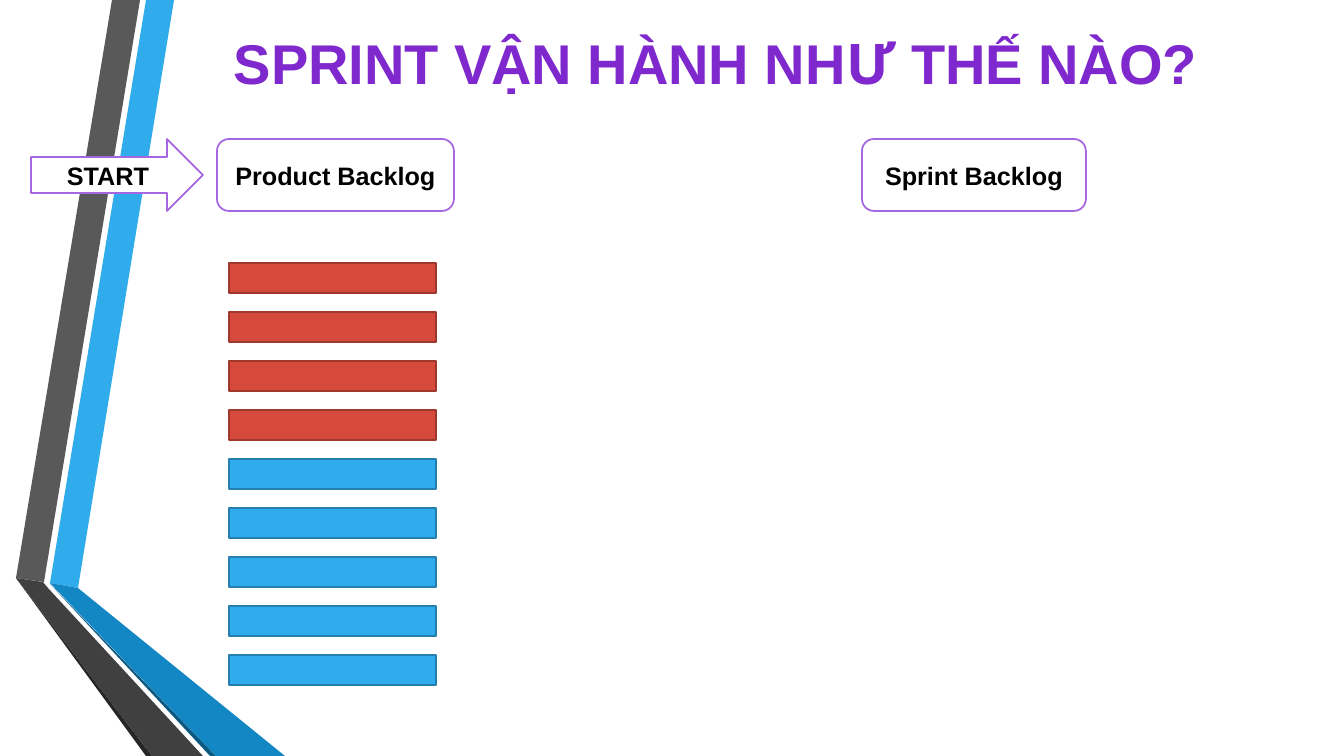
from dataclasses import dataclass
from pptx import Presentation
from pptx.dml.color import RGBColor
from pptx.enum.shapes import MSO_SHAPE as Kind
from pptx.enum.text import MSO_ANCHOR as Anchor, PP_ALIGN as Align
from pptx.util import Pt

PX = 914400 / 100.8


@dataclass(frozen=True)
class Theme:
    blue: str = "30ACEC"
    edge: str = "247FAF"
    red: str = "D64A3B"
    rust: str = "9E372C"
    gray: str = "595959"
    coal: str = "404040"
    soot: str = "262626"
    navy: str = "0C5A82"
    teal: str = "1287C3"
    white: str = "FFFFFF"
    black: str = "000000"
    lilac: str = "A666E1"
    purple: str = "7E28CD"
    font: str = "Arial"
    accent: str = "Cabin"
    title: int = 40
    label: int = 18
    line: float = 1.25


T = Theme()

BANDS = [
    (T.blue, [(50, 583), (78, 588), (174, 0), (146, 0)]),
    (T.gray, [(140, 0), (112, 0), (16, 578), (44, 582)]),
    (T.soot, [(16, 578), (146, 756), (152, 756)]),
    (T.navy, [(50, 584), (210, 756), (216, 756)]),
    (T.teal, [(50, 583), (216, 756), (285, 756), (78, 588)]),
    (T.coal, [(203, 756), (48, 588), (43, 582), (16, 578), (152, 756)]),
]
TITLE = [
    ("SPRINT VẬN HÀNH NH", T.font),
    ("Ư", T.accent),
    (" THẾ NÀO?", T.font),
]
TITLE_BOX = (163, 16, 1105, 93)
LABELS = [
    ("Product Backlog", Kind.ROUNDED_RECTANGLE, 217, 237),
    ("Sprint Backlog", Kind.ROUNDED_RECTANGLE, 862, 224),
    ("START", Kind.RIGHT_ARROW, 31, 172),
]
LABEL_TOP, LABEL_TALL = 139, 72
BARS = [(T.red, T.rust)] * 4 + [(T.blue, T.edge)] * 5
BAR_LEFT, BAR_TOP, BAR_WIDE, BAR_TALL, BAR_STEP = 229, 263, 207, 30, 49


def px(*sides):
    return [round(side * PX) for side in sides]


def paint(shape, fill, line=None):
    shape.shadow.inherit = False
    shape.fill.solid()
    shape.fill.fore_color.rgb = RGBColor.from_string(fill)
    if line:
        shape.line.color.rgb = RGBColor.from_string(line)
        shape.line.width = Pt(T.line)
    else:
        shape.line.fill.background()


def write(shape, runs, size, color):
    frame = shape.text_frame
    frame.word_wrap = True
    frame.vertical_anchor = Anchor.MIDDLE
    para = frame.paragraphs[0]
    para.alignment = Align.CENTER
    for text, face in runs:
        run = para.add_run()
        run.text = text
        run.font.name = face
        run.font.size = Pt(size)
        run.font.bold = True
        run.font.color.rgb = RGBColor.from_string(color)


def main():
    deck = Presentation()
    deck.slide_width, deck.slide_height = px(1344, 756)
    shapes = deck.slides.add_slide(deck.slide_layouts[6]).shapes

    for fill, points in BANDS:
        pen = shapes.build_freeform(*points[0], scale=PX)
        pen.add_line_segments(points[1:], close=True)
        paint(pen.convert_to_shape(), fill)

    write(shapes.add_textbox(*px(*TITLE_BOX)), TITLE, T.title, T.purple)

    for row, (fill, line) in enumerate(BARS):
        top = BAR_TOP + row * BAR_STEP
        box = px(BAR_LEFT, top, BAR_WIDE, BAR_TALL)
        paint(shapes.add_shape(Kind.RECTANGLE, *box), fill, line)

    for text, kind, left, wide in LABELS:
        box = px(left, LABEL_TOP, wide, LABEL_TALL)
        shape = shapes.add_shape(kind, *box)
        paint(shape, T.white, T.lilac)
        write(shape, [(text, T.font)], T.label, T.black)

    deck.save("out.pptx")


if __name__ == "__main__":
    main()
